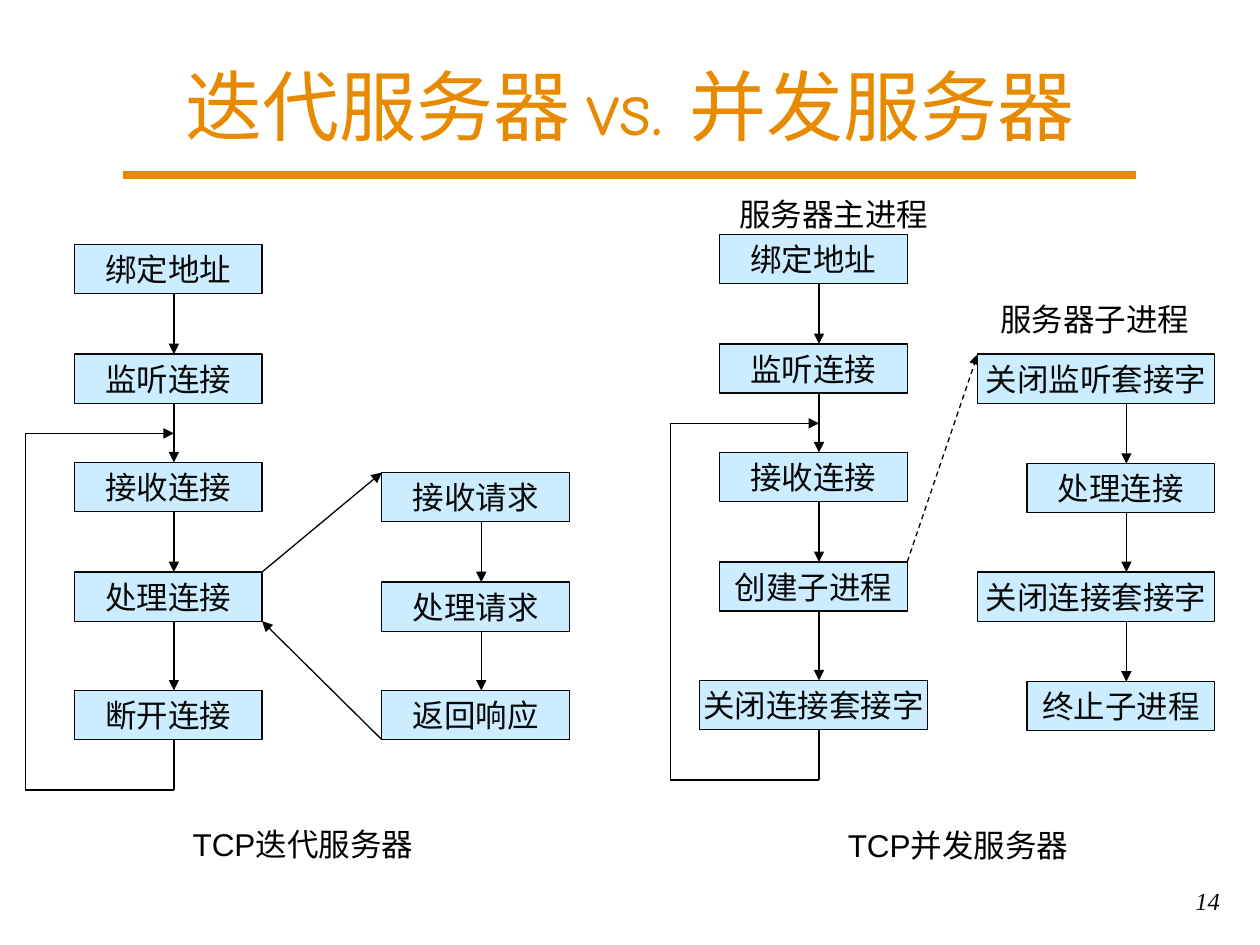
import pptx
import pptx.dml.color
import pptx.enum.dml
import pptx.enum.shapes
import pptx.enum.text
import pptx.oxml.ns
import pptx.util
from lxml import etree

Inches = pptx.util.Inches
Pt = pptx.util.Pt
ALIGN = pptx.enum.text.PP_ALIGN
ANCHOR = pptx.enum.text.MSO_ANCHOR

COLORS = {"accent": "E88A00", "box": "CCECFF", "ink": "080808", "line": "000000"}
BOX_WIDTH, BOX_HEIGHT, AXIS = 1.49, 0.39, 0.79
STEP_TOPS = [0, 0.87, 1.73, 2.6, 3.54]


def color(name):
    """Return the named colour as an RGB value."""
    return pptx.dml.color.RGBColor.from_string(COLORS[name])


def write(shape, text, size=18, font="Arial", ink="line", align=ALIGN.LEFT, italic=None):
    """Write one formatted run in the shape."""
    paragraph = shape.text_frame.paragraphs[0]
    paragraph.alignment = align
    run = paragraph.add_run()
    run.text = text
    run.font.size = Pt(size)
    run.font.name = font
    run.font.italic = italic
    run.font.color.rgb = color(ink)


def add_line(slide, start, end, arrow=True, dashed=False, ink="line", width=0.75):
    """Draw a straight line, with an arrowhead at its end if asked."""
    line = slide.shapes.add_connector(
        pptx.enum.shapes.MSO_CONNECTOR.STRAIGHT, *map(Inches, (*start, *end)))
    line.line.color.rgb = color(ink)
    line.line.width = Pt(width)
    if dashed:
        line.line.dash_style = pptx.enum.dml.MSO_LINE.DASH
    if arrow:
        head = etree.SubElement(line.line._get_or_add_ln(), pptx.oxml.ns.qn("a:tailEnd"))
        head.set("type", "triangle")
    etree.SubElement(line._element.spPr, pptx.oxml.ns.qn("a:effectLst"))


def add_label(slide, text, left, top, width):
    """Add a one-line caption."""
    label = slide.shapes.add_textbox(*map(Inches, (left, top, width, 0.4)))
    label.text_frame.word_wrap = False
    label.text_frame.auto_size = pptx.enum.text.MSO_AUTO_SIZE.SHAPE_TO_FIT_TEXT
    write(label, text)


def add_step(slide, text, left, top, width):
    """Add one box of a flow."""
    shape = slide.shapes.add_shape(
        pptx.enum.shapes.MSO_SHAPE.RECTANGLE, *map(Inches, (left, top, width, BOX_HEIGHT)))
    shape.shadow.inherit = False
    shape.fill.solid()
    shape.fill.fore_color.rgb = color("box")
    shape.line.color.rgb = color("ink")
    shape.line.width = Pt(0.75)
    shape.text_frame.word_wrap = False
    shape.text_frame.vertical_anchor = ANCHOR.MIDDLE
    write(shape, text, ink="ink", align=ALIGN.CENTER)


def add_flow(slide, left, top, steps):
    """Stack boxes, each widened to the left and right as given, and join them by arrows."""
    axis = left + AXIS
    for index, (text, wider_left, wider_right) in enumerate(steps):
        step_top = top + STEP_TOPS[index]
        add_step(slide, text, left - wider_left, step_top, BOX_WIDTH + wider_left + wider_right)
        if index:
            previous_bottom = top + STEP_TOPS[index - 1] + BOX_HEIGHT
            add_line(slide, (axis, previous_bottom), (axis, step_top))


def add_loop(slide, left, top):
    """Lead from below a five-step flow back to the arrow above its third step."""
    axis, outer = left + AXIS, left - 0.39
    bottom, entry = top + 4.33, top + 1.5
    points = [(axis, top + STEP_TOPS[-1] + BOX_HEIGHT), (axis, bottom),
              (outer, bottom), (outer, entry), (axis, entry)]
    for start, end in zip(points, points[1:]):
        add_line(slide, start, end, arrow=end == points[-1])


def add_iterative_server(slide, left, top):
    """Draw the iterative server with its request handling."""
    names = ["绑定地址", "监听连接", "接收连接", "处理连接", "断开连接"]
    add_flow(slide, left, top, [(name, 0, 0) for name in names])
    add_loop(slide, left, top)
    request_left, request_top = left + 2.44, top + 1.81
    add_flow(slide, request_left, request_top,
             [(name, 0, 0) for name in ["接收请求", "处理请求", "返回响应"]])
    right, handle_top = left + BOX_WIDTH, top + STEP_TOPS[3]
    add_line(slide, (right, handle_top), (request_left, request_top))
    add_line(slide, (request_left, request_top + STEP_TOPS[2] + BOX_HEIGHT),
             (right, handle_top + BOX_HEIGHT))
    add_label(slide, "TCP迭代服务器", left + 0.84, top + 4.56, 2.01)


def add_concurrent_server(slide, left, top):
    """Draw the concurrent server with its main and child processes."""
    add_flow(slide, left, top, [("绑定地址", 0, 0), ("监听连接", 0, 0), ("接收连接", 0, 0),
                                ("创建子进程", 0, 0), ("关闭连接套接字", 0.16, 0.16)])
    add_loop(slide, left, top)
    child_left, child_top = left + 2.44, top + 0.95
    add_line(slide, (left + BOX_WIDTH, top + STEP_TOPS[3]),
             (child_left - 0.39, child_top), dashed=True)
    add_flow(slide, child_left, child_top, [("关闭监听套接字", 0.39, 0), ("处理连接", 0, 0),
                                            ("关闭连接套接字", 0.39, 0), ("终止子进程", 0, 0)])
    add_label(slide, "服务器主进程", left + 0.06, top - 0.36, 1.7)
    add_label(slide, "服务器子进程", left + 2.13, top + 0.47, 1.7)
    add_label(slide, "TCP并发服务器", left + 0.92, top + 4.65, 2.01)


def add_title(slide, left, top, width, height):
    """Place the title and the rule below it."""
    title = slide.shapes.title
    title.left, title.top, title.width, title.height = map(Inches, (left, top, width, height))
    title.text_frame.vertical_anchor = ANCHOR.MIDDLE
    write(title, "迭代服务器 vs. 并发服务器", 44, "Comic Neue", "accent", ALIGN.CENTER)
    rule = top + 1.18
    add_line(slide, (left + 0.65, rule), (left + width - 0.65, rule),
             arrow=False, ink="accent", width=4.5)


def add_page_number(slide, left, top, width, height):
    """Place the page number."""
    number = slide.shapes.add_textbox(*map(Inches, (left, top, width, height)))
    number.text_frame.word_wrap = True
    write(number, "14", 14, "Times New Roman", "ink", ALIGN.RIGHT, italic=True)


def main():
    """Build and save the slide."""
    presentation = pptx.Presentation()
    presentation.slide_width, presentation.slide_height = Inches(10), Inches(7.5)
    slide = presentation.slides.add_slide(presentation.slide_layouts[5])
    add_title(slide, 0.33, 0.21, 9.34, 1.25)
    add_iterative_server(slide, 0.59, 1.94)
    add_concurrent_server(slide, 5.71, 1.86)
    add_page_number(slide, 7.28, 6.98, 2.5, 0.52)
    presentation.save("out.pptx")


if __name__ == "__main__":
    main()
